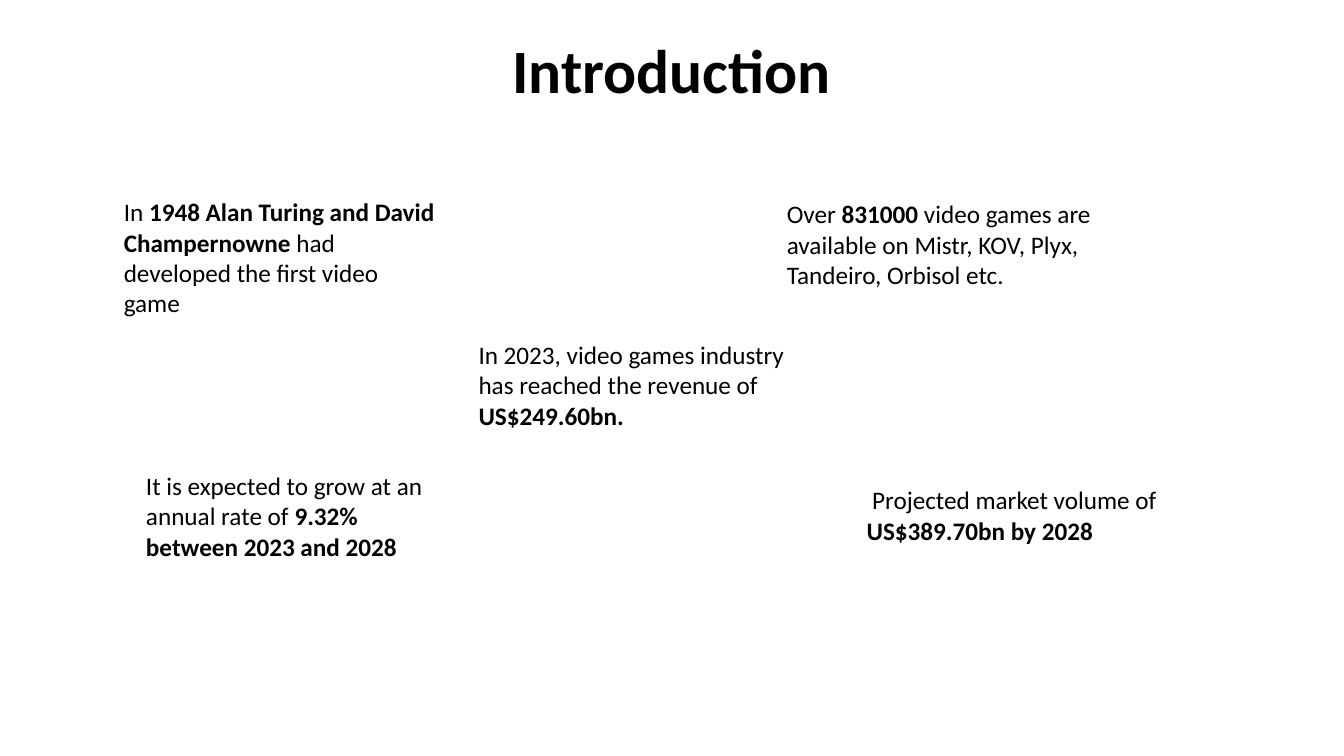
import pptx
import pptx.dml.color
import pptx.enum.text
import pptx.util
from dataclasses import dataclass

Cm = pptx.util.Cm


@dataclass(frozen=True)
class Theme:
    font: str = "Calibri"
    ink: pptx.dml.color.RGBColor = pptx.dml.color.RGBColor(0, 0, 0)
    paper: pptx.dml.color.RGBColor = pptx.dml.color.RGBColor(255, 255, 255)
    title_size: pptx.util.Pt = pptx.util.Pt(44)
    body_size: pptx.util.Pt = pptx.util.Pt(18)


theme = Theme()


def fill_box(box, size):
    """Give a box its white fill and its paragraph the theme font."""
    box.fill.solid()
    box.fill.fore_color.rgb = theme.paper
    font = box.text_frame.paragraphs[0].font
    font.name = theme.font
    font.size = size
    font.color.rgb = theme.ink


# Deck and page
deck = pptx.Presentation()
deck.slide_width, deck.slide_height = Cm(33.87), Cm(19.05)
page = deck.slides.add_slide(deck.slide_layouts.get_by_name("Title Only"))

# Title
title = page.shapes.title
title.left, title.top, title.width, title.height = Cm(2.33), Cm(0.41), Cm(29.21), Cm(2.9)
title.text_frame.text = "Introduction"
title.text_frame.auto_size = pptx.enum.text.MSO_AUTO_SIZE.NONE
title.text_frame.vertical_anchor = pptx.enum.text.MSO_ANCHOR.MIDDLE
fill_box(title, theme.title_size)
heading = title.text_frame.paragraphs[0]
heading.font.bold = True
heading.alignment = pptx.enum.text.PP_ALIGN.CENTER
heading.line_spacing = 0.9

# Facts: left, top, width, height, first-line indent in cm, then (text, bold) spans
facts = [
    (19.58, 4.88, 10.16, 2.57, 0,
     [("Over ", False), ("831000", True),
      (" video games are available on Mistr, KOV, Plyx, Tandeiro, Orbisol etc.", False)]),
    (2.87, 4.83, 8.38, 3.33, 0,
     [("In ", False), ("1948 Alan Turing and David Champernowne ", True),
      ("had developed the first video game", False)]),
    (11.81, 8.43, 8.31, 2.57, 0,
     [("In 2023, video games industry has reached the revenue of ", False),
      ("US$249.60bn.", True)]),
    (3.43, 11.73, 8.18, 2.57, 0,
     [("It is expected to grow at an annual rate of ", False),
      ("9.32% between 2023 and 2028", True)]),
    (21.59, 12.09, 9.07, 1.8, 0.14,
     [("Projected market volume of ", False), ("US$389.70bn by 2028", True)]),
]

for left, top, width, height, indent, spans in facts:
    box = page.shapes.add_textbox(Cm(left), Cm(top), Cm(width), Cm(height))
    box.text_frame.word_wrap = True
    box.text_frame.auto_size = pptx.enum.text.MSO_AUTO_SIZE.SHAPE_TO_FIT_TEXT
    fill_box(box, theme.body_size)
    para = box.text_frame.paragraphs[0]
    if indent:
        para._p.get_or_add_pPr().set("indent", str(Cm(indent)))
    for text, bold in spans:
        span = para.add_run()
        span.text = text
        span.font.bold = bold

deck.save("out.pptx")
